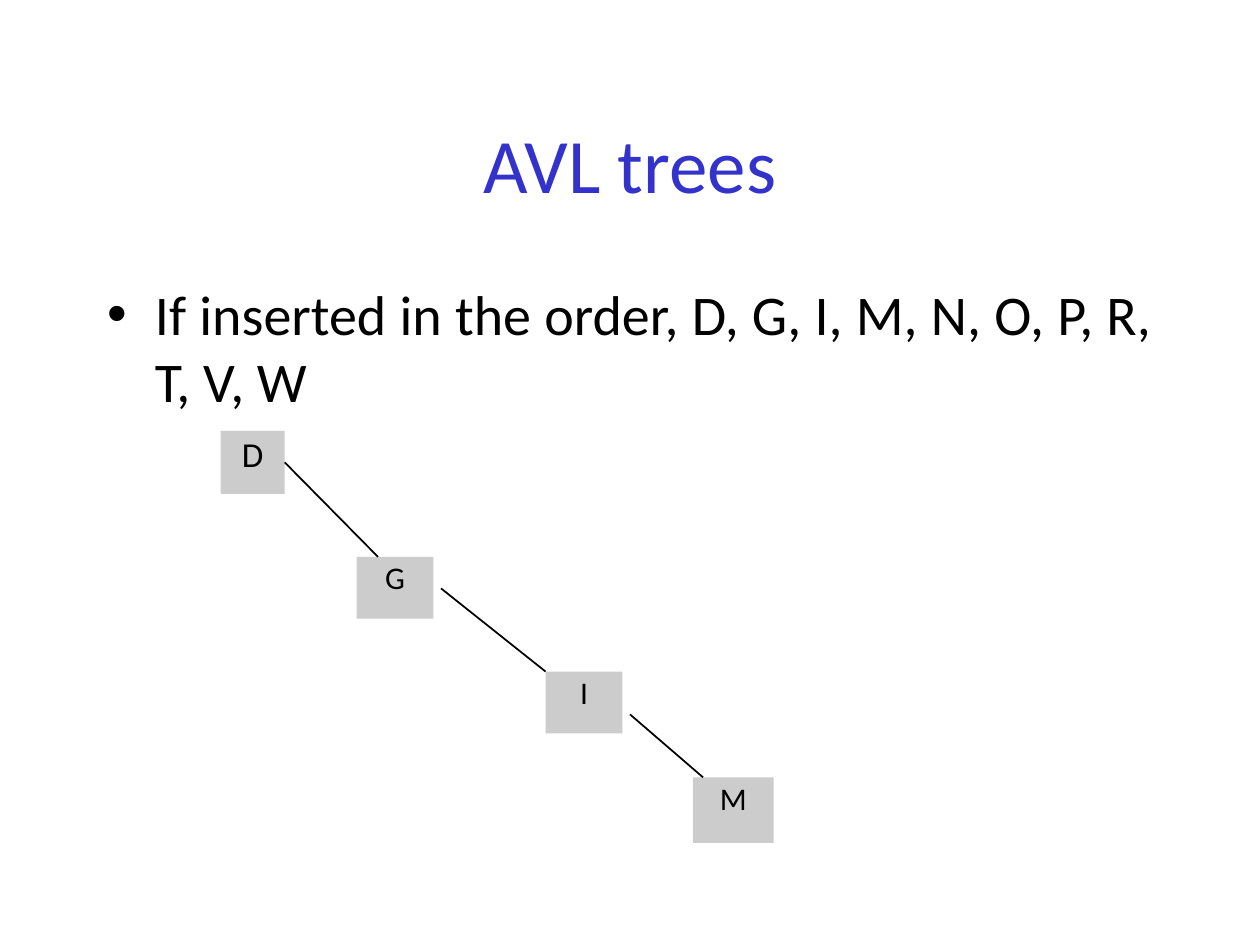
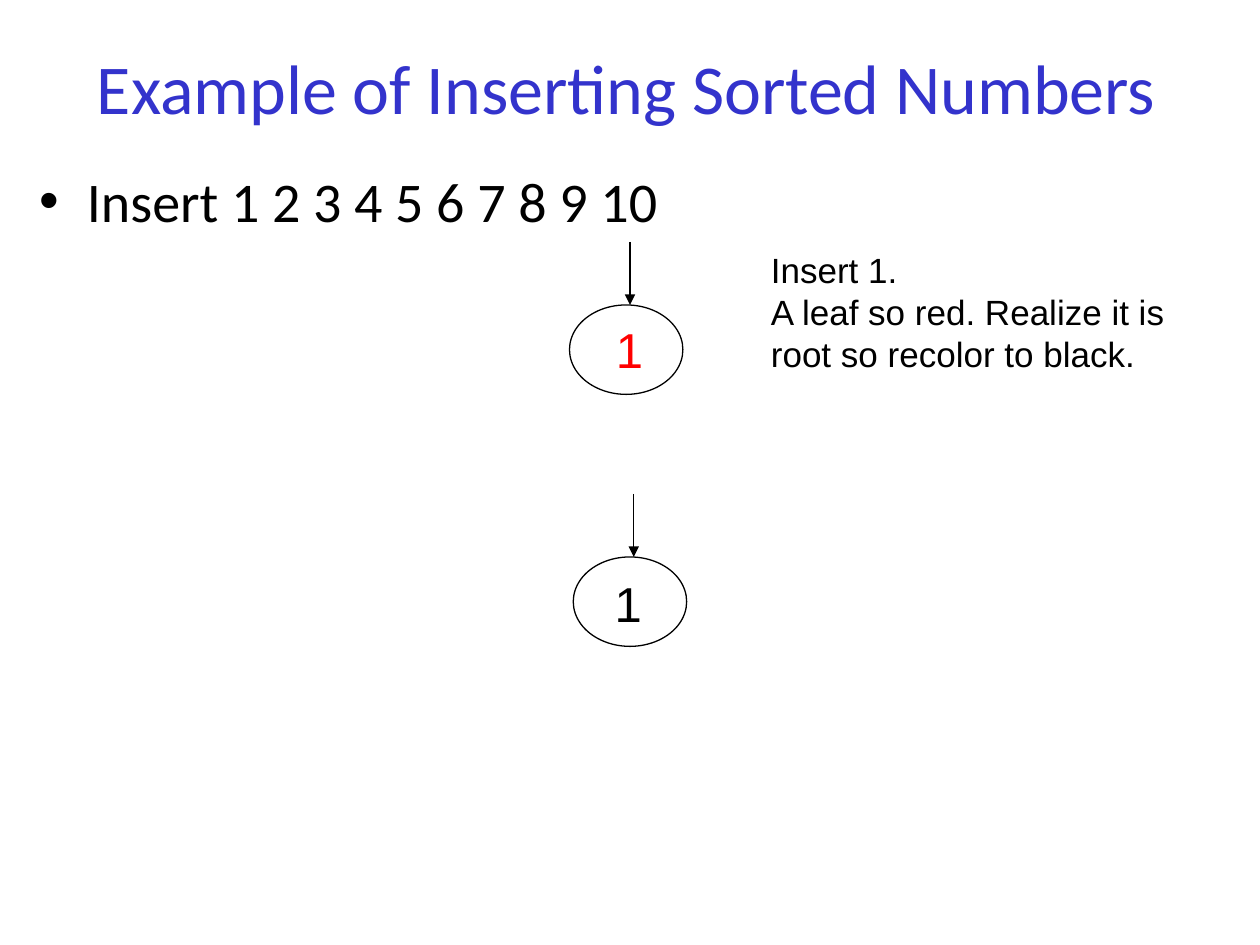
from dataclasses import dataclass
from typing import Any, Optional

from lxml import etree
from pptx import Presentation
from pptx.dml.color import RGBColor
from pptx.enum.shapes import MSO_CONNECTOR, MSO_SHAPE
from pptx.enum.text import MSO_ANCHOR, MSO_AUTO_SIZE, PP_ALIGN
from pptx.oxml.ns import qn
from pptx.util import Inches, Pt

STRAIGHT = MSO_CONNECTOR.STRAIGHT
RECTANGLE, OVAL = MSO_SHAPE.RECTANGLE, MSO_SHAPE.OVAL
TOP, MIDDLE = MSO_ANCHOR.TOP, MSO_ANCHOR.MIDDLE
LEFT, CENTER, JUSTIFY = PP_ALIGN.LEFT, PP_ALIGN.CENTER, PP_ALIGN.JUSTIFY
NO_FIT = MSO_AUTO_SIZE.NONE
RIGHT_SIDE = 3


@dataclass(frozen=True)
class Theme:
    title: RGBColor = RGBColor(0x33, 0x33, 0xCC)
    ink: RGBColor = RGBColor(0, 0, 0)
    red: RGBColor = RGBColor(0xFF, 0, 0)
    box: RGBColor = RGBColor(0xCC, 0xCC, 0xCC)
    paper: RGBColor = RGBColor(0xFF, 0xFF, 0xFF)
    main_font: str = "Calibri"
    note_font: str = "Arial"
    title_size: int = 44
    long_title_size: int = 40
    body_size: int = 32
    root_size: int = 20
    child_size: int = 18
    number_size: int = 28
    note_size: int = 20
    edge_width: float = 1
    outline_width: float = 0.75


THEME = Theme()


@dataclass(frozen=True)
class Box:
    left: float
    top: float
    width: float
    height: float

    def inches(self) -> list[int]:
        return [Inches(v) for v in (self.left, self.top, self.width, self.height)]


@dataclass(frozen=True)
class TreeNode:
    key: str
    box: Box
    size: int


@dataclass(frozen=True)
class Edge:
    start: tuple[float, float]
    end: tuple[float, float]
    parent: Optional[str] = None  # joined at the middle of its right side


@dataclass(frozen=True)
class Root:
    left: float
    top: float
    label_left: float
    label_top: float
    arrow_x: float
    color: RGBColor


def style(paragraph: Any, size: int, color: RGBColor, font: str, align: Any) -> None:
    paragraph.alignment = align
    for run in paragraph.runs:
        run.font.size = Pt(size)
        run.font.name = font
        run.font.color.rgb = color


def add_titled_slide(prs: Any, title: str, title_box: Box, title_size: int,
                     bullet: str, body_box: Box, align: Any) -> Any:
    slide = prs.slides.add_slide(prs.slide_layouts[1])
    slide.background.fill.solid()
    slide.background.fill.fore_color.rgb = THEME.paper
    heading, body = slide.shapes.title, slide.placeholders[1]
    for holder, box, text in ((heading, title_box, title), (body, body_box, bullet)):
        holder.left, holder.top, holder.width, holder.height = box.inches()
        holder.text_frame.text = text
        holder.text_frame.auto_size = NO_FIT
    heading.text_frame.vertical_anchor = MIDDLE
    style(heading.text_frame.paragraphs[0], title_size, THEME.title,
          THEME.main_font, CENTER)

    item = body.text_frame.paragraphs[0]
    properties = item._p.get_or_add_pPr()
    properties.set("marL", str(Inches(0.38)))
    properties.set("indent", str(-Inches(0.38)))
    etree.SubElement(properties, qn("a:buChar")).set("char", "•")
    item.space_before = Pt(0)
    style(item, THEME.body_size, THEME.ink, THEME.main_font, align)
    return slide


def add_line(slide: Any, start: tuple[float, float], end: tuple[float, float],
             width: float, arrow: bool = False) -> Any:
    points = [Inches(v) for v in (*start, *end)]
    line = slide.shapes.add_connector(STRAIGHT, *points)
    line.line.color.rgb = THEME.ink
    line.line.width = Pt(width)
    if arrow:
        tail = etree.SubElement(line.line._get_or_add_ln(), qn("a:tailEnd"))
        tail.set("type", "triangle")
    etree.SubElement(line._element.spPr, qn("a:effectLst"))
    return line


def add_tree_node(slide: Any, node: TreeNode) -> Any:
    shape = slide.shapes.add_shape(RECTANGLE, *node.box.inches())
    shape.shadow.inherit = False
    shape.fill.solid()
    shape.fill.fore_color.rgb = THEME.box
    shape.line.fill.background()
    frame = shape.text_frame
    frame.margin_left = frame.margin_right = Inches(0.01)
    frame.margin_top = frame.margin_bottom = Inches(0.01)
    frame.vertical_anchor = TOP
    frame.text = node.key
    style(frame.paragraphs[0], node.size, THEME.ink, THEME.main_font, CENTER)
    return shape


def add_text(shapes: Any, box: Box, text: str, size: int, color: RGBColor,
             wrap: bool) -> None:
    frame = shapes.add_textbox(*box.inches()).text_frame
    frame.word_wrap = wrap
    frame.text = text
    for paragraph in frame.paragraphs:
        style(paragraph, size, color, THEME.note_font, LEFT)


def add_root(slide: Any, root: Root) -> None:
    node = slide.shapes.add_group_shape()
    oval = node.shapes.add_shape(OVAL, *Box(root.left, root.top, 0.9, 0.71).inches())
    oval.shadow.inherit = False
    oval.fill.background()
    oval.line.color.rgb = THEME.ink
    oval.line.width = Pt(THEME.outline_width)
    add_text(node.shapes, Box(root.label_left, root.label_top, 0.42, 0.57), "1",
             THEME.number_size, root.color, wrap=False)
    add_line(slide, (root.arrow_x, root.top - 0.5), (root.arrow_x, root.top),
             THEME.outline_width, arrow=True)


def build_avl_slide(prs: Any) -> None:
    slide = add_titled_slide(
        prs, "AVL trees", Box(0.75, 0.67, 8.5, 1.25), THEME.title_size,
        "If inserted in the order, D, G, I, M, N, O, P, R, T, V, W",
        Box(0.75, 2.17, 8.5, 4.5), JUSTIFY)

    # Degenerate tree: every key hangs to the right of the one before
    nodes = (
        TreeNode("D", Box(1.75, 3.42, 0.51, 0.5), THEME.root_size),
        TreeNode("G", Box(2.83, 4.42, 0.61, 0.49), THEME.child_size),
        TreeNode("I", Box(4.33, 5.33, 0.61, 0.49), THEME.child_size),
        TreeNode("M", Box(5.5, 6.17, 0.64, 0.52), THEME.child_size),
    )
    edges = (
        Edge((2.25, 3.67), (3, 4.42), parent="D"),
        Edge((3.5, 4.67), (4.33, 5.33)),
        Edge((5, 5.67), (5.58, 6.17)),
    )
    drawn = {node.key: add_tree_node(slide, node) for node in nodes}
    for edge in edges:
        line = add_line(slide, edge.start, edge.end, THEME.edge_width)
        if edge.parent:
            line.begin_connect(drawn[edge.parent], RIGHT_SIDE)


def build_insertion_slide(prs: Any) -> None:
    slide = add_titled_slide(
        prs, "Example of Inserting Sorted Numbers", Box(0.18, 0.06, 9.58, 1.25),
        THEME.long_title_size, "Insert 1 2 3 4 5 6 7 8 9 10",
        Box(0.21, 1.27, 8.5, 0.79), LEFT)

    # The root before and after recoloring
    add_root(slide, Root(4.52, 2.42, 4.79, 2.49, 5, THEME.red))
    add_root(slide, Root(4.55, 4.42, 4.78, 4.5, 5.03, THEME.ink))

    # Explanation
    add_text(slide.shapes, Box(6.02, 1.92, 3.4, 1.11),
             "Insert 1.\nA leaf so red. Realize it is root so recolor to black.",
             THEME.note_size, THEME.ink, wrap=True)


def main() -> None:
    prs = Presentation()
    prs.slide_width, prs.slide_height = Inches(10), Inches(7.5)
    build_avl_slide(prs)
    build_insertion_slide(prs)
    prs.save("out.pptx")


if __name__ == "__main__":
    main()
